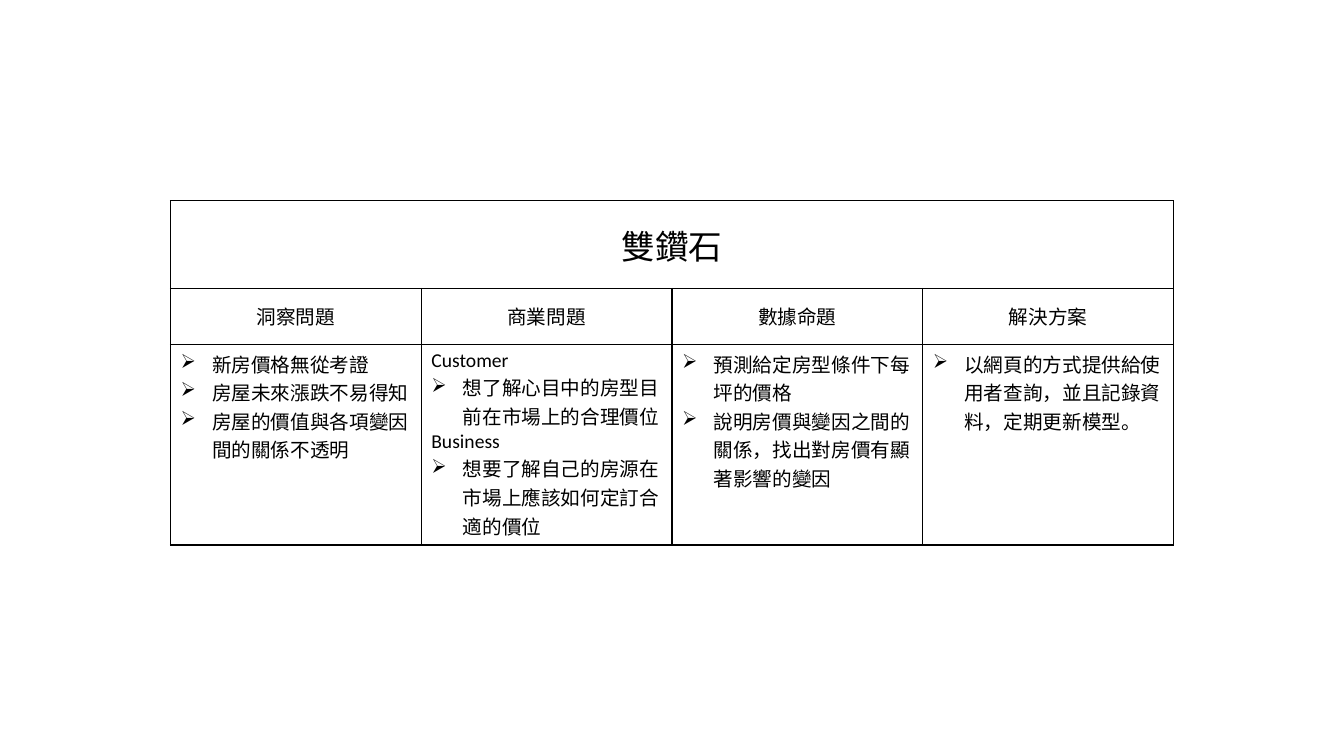
from lxml.etree import SubElement
from pptx import Presentation
from pptx.dml.color import RGBColor
from pptx.enum.text import MSO_ANCHOR, PP_ALIGN
from pptx.oxml.ns import qn
from pptx.util import Pt

TITLE = "雙鑽石"
BULLET = "➢"
# Each column: heading, then (text, has bullet) lines
COLUMNS = [
    ("洞察問題", [
        ("新房價格無從考證", True),
        ("房屋未來漲跌不易得知", True),
        ("房屋的價值與各項變因間的關係不透明", True),
    ]),
    ("商業問題", [
        ("Customer", False),
        ("想了解心目中的房型目前在市場上的合理價位", True),
        ("Business", False),
        ("想要了解自己的房源在市場上應該如何定訂合適的價位", True),
    ]),
    ("數據命題", [
        ("預測給定房型條件下每坪的價格", True),
        ("說明房價與變因之間的關係，找出對房價有顯著影響的變因", True),
    ]),
    ("解決方案", [
        ("以網頁的方式提供給使用者查詢，並且記錄資料，定期更新模型。", True),
    ]),
]
COLORS = {"ink": "000000"}
FONT = "Calibri"
TITLE_SIZE, BODY_SIZE = 24, 14
LEFT, TOP = 121.8, 143.3
COLUMN_WIDTH = 179.1
ROW_HEIGHTS = [62.8, 39.8, 130.3]
INDENT = 22.5
BORDER_WIDTH = 1


def add_borders(cell):
    """Draw a solid line on all four sides of a cell."""
    properties = cell._tc.get_or_add_tcPr()
    for side in ("a:lnL", "a:lnR", "a:lnT", "a:lnB"):
        line = SubElement(properties, qn(side), w=str(Pt(BORDER_WIDTH)))
        fill = SubElement(line, qn("a:solidFill"))
        SubElement(fill, qn("a:srgbClr"), val=COLORS["ink"])


def add_bullet(paragraph):
    """Give a paragraph an arrow bullet with a hanging indent."""
    properties = paragraph._p.get_or_add_pPr()
    properties.set("marL", str(Pt(INDENT)))
    properties.set("indent", str(-Pt(INDENT)))
    SubElement(properties, qn("a:buChar"), char=BULLET)


def write_cell(cell, lines, size=BODY_SIZE, centered=False):
    """Fill a cell with lines of text, each with or without a bullet."""
    cell.vertical_anchor = MSO_ANCHOR.MIDDLE if centered else MSO_ANCHOR.TOP
    cell.text_frame.text = "\n".join(text for text, _ in lines)
    for paragraph, (_, has_bullet) in zip(cell.text_frame.paragraphs, lines):
        if centered:
            paragraph.alignment = PP_ALIGN.CENTER
        if has_bullet:
            add_bullet(paragraph)
        for run in paragraph.runs:
            run.font.name = FONT
            run.font.size = Pt(size)
            run.font.color.rgb = RGBColor.from_string(COLORS["ink"])


presentation = Presentation()
presentation.slide_width, presentation.slide_height = Pt(960), Pt(540)
slide = presentation.slides.add_slide(presentation.slide_layouts[6])

table = slide.shapes.add_table(
    len(ROW_HEIGHTS), len(COLUMNS), Pt(LEFT), Pt(TOP),
    Pt(COLUMN_WIDTH * len(COLUMNS)), Pt(sum(ROW_HEIGHTS))).table
table.first_row = table.horz_banding = False
for column in table.columns:
    column.width = Pt(COLUMN_WIDTH)
for row, height in zip(table.rows, ROW_HEIGHTS):
    row.height = Pt(height)
for cell in table.iter_cells():
    add_borders(cell)
    cell.fill.background()

title_cell = table.cell(0, 0)
title_cell.merge(table.cell(0, len(COLUMNS) - 1))
write_cell(title_cell, [(TITLE, False)], TITLE_SIZE, centered=True)
for index, (heading, lines) in enumerate(COLUMNS):
    write_cell(table.cell(1, index), [(heading, False)], centered=True)
    write_cell(table.cell(2, index), lines)

presentation.save("out.pptx")
